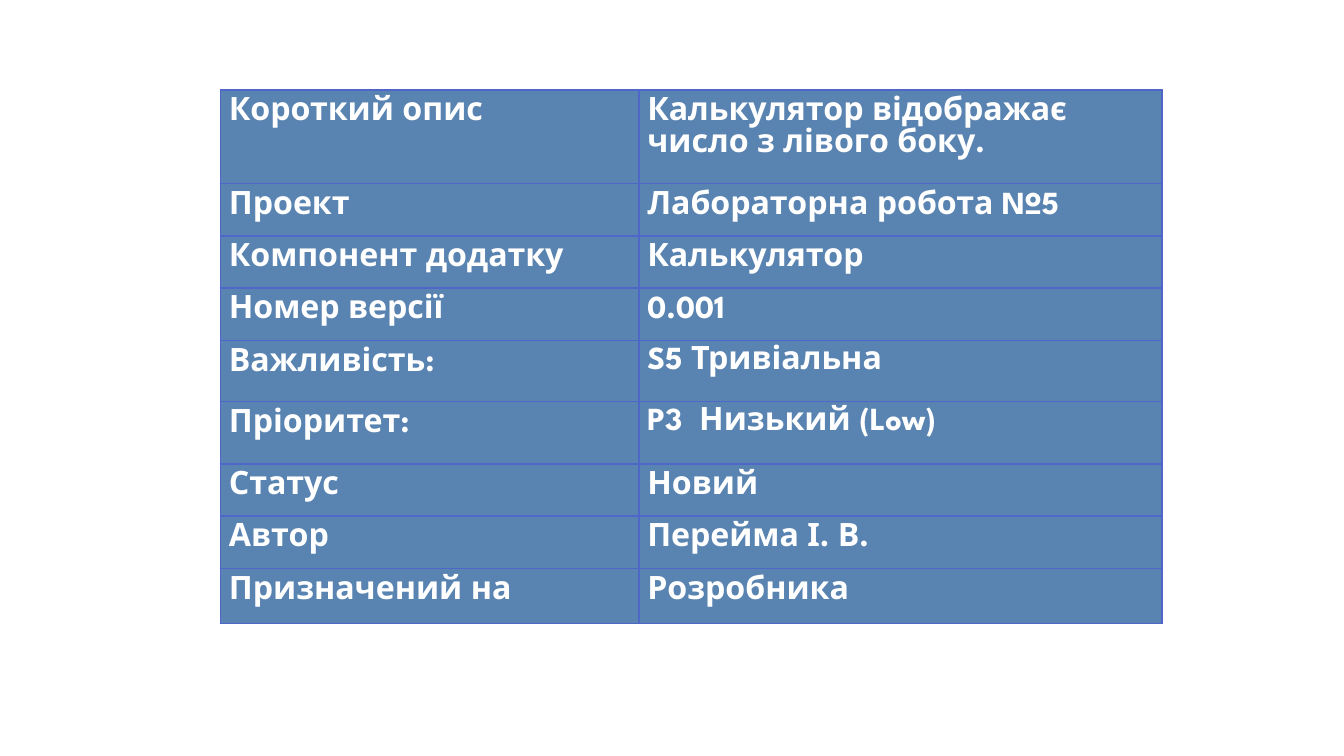
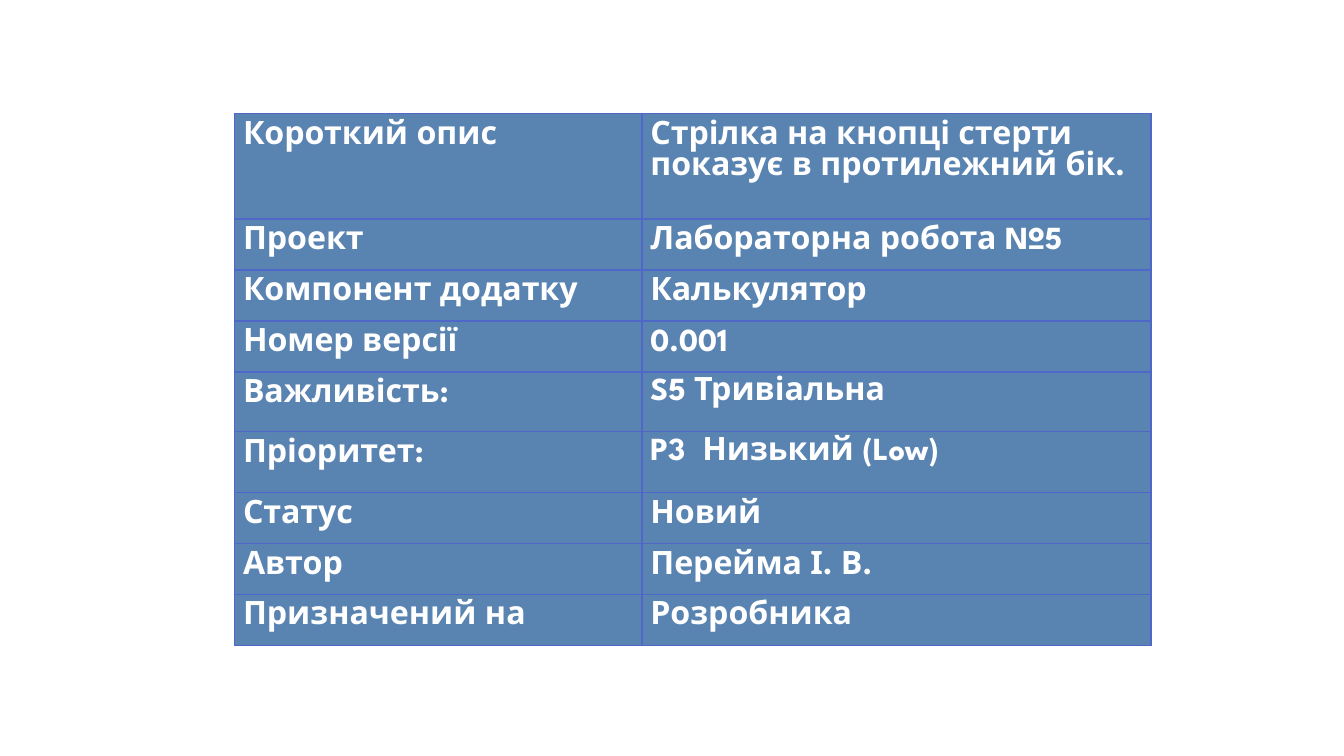
import pptx
import pptx.dml.color
import pptx.oxml
import pptx.oxml.ns
import pptx.util

SLIDE_WIDTH = pptx.util.Inches(11.02)
SLIDE_HEIGHT = pptx.util.Inches(6.2)
FONT = "League Spartan"
TEXT_SIZE = 19
LINE_SPACING = 1.07
TEXT_COLOR = "FFFFFF"
CELL_COLOR = "5983B0"
BORDER_COLOR = "4E67C8"
BORDER_WIDTH = 0.96
COLUMN_SHARES = (4 / 9, 5 / 9)
MIDDLE_ROWS = (1, 1, 1, 1.17, 1.19, 1, 1)
SINGLE_SPACED_LABELS = ("Важливість:", "Пріоритет:")

COMMON_FIELDS = (
    ("Проект", "Лабораторна робота №5"),
    ("Компонент додатку", "Калькулятор"),
    ("Номер версії", "0.001"),
    ("Важливість:", "S5 Тривіальна"),
    ("Пріоритет:", "P3  Низький (Low)"),
    ("Статус", "Новий"),
    ("Автор", "Перейма І. В."),
    ("Призначений на", "Розробника"),
)


def color(hex_string):
    return pptx.dml.color.RGBColor.from_string(hex_string)


def across(percent):
    return round(SLIDE_WIDTH * percent / 100)


def down(percent):
    return round(SLIDE_HEIGHT * percent / 100)


def add_borders(cell):
    properties = cell._tc.get_or_add_tcPr()
    for side in ("lnL", "lnR", "lnT", "lnB"):
        properties.append(pptx.oxml.parse_xml(
            f'<a:{side} {pptx.oxml.ns.nsdecls("a")} w="{pptx.util.Pt(BORDER_WIDTH)}">'
            f'<a:solidFill><a:srgbClr val="{BORDER_COLOR}"/></a:solidFill>'
            f'</a:{side}>'
        ))


def fill_cell(cell, text, line_spacing):
    add_borders(cell)
    cell.fill.solid()
    cell.fill.fore_color.rgb = color(CELL_COLOR)
    cell.margin_left = cell.margin_right = pptx.util.Inches(0.07)
    cell.margin_top = cell.margin_bottom = pptx.util.Inches(0.05)
    cell.text_frame.text = text
    paragraph = cell.text_frame.paragraphs[0]
    paragraph.line_spacing = line_spacing
    font = paragraph.runs[0].font
    font.name = FONT
    font.size = pptx.util.Pt(TEXT_SIZE)
    font.bold = True
    font.color.rgb = color(TEXT_COLOR)


def add_bug_report(presentation, summary, left, top, width, row_height, first_row, last_row):
    slide = presentation.slides.add_slide(presentation.slide_layouts[6])
    fields = (("Короткий опис", summary),) + COMMON_FIELDS
    row_heights = [down(row_height * rows) for rows in (first_row, *MIDDLE_ROWS, last_row)]
    table = slide.shapes.add_table(
        len(fields), len(COLUMN_SHARES),
        across(left), down(top), across(width), sum(row_heights),
    ).table
    for column, share in zip(table.columns, COLUMN_SHARES):
        column.width = across(width * share)
    for row, height, (label, value) in zip(table.rows, row_heights, fields):
        row.height = height
        value_spacing = None if label in SINGLE_SPACED_LABELS else LINE_SPACING
        fill_cell(row.cells[0], label, LINE_SPACING)
        fill_cell(row.cells[1], value, value_spacing)


def main():
    presentation = pptx.Presentation()
    presentation.slide_width = SLIDE_WIDTH
    presentation.slide_height = SLIDE_HEIGHT
    add_bug_report(
        presentation, "Калькулятор відображає число з лівого боку.",
        left=16.4, top=11.9, width=70.05, row_height=6.92, first_row=1.79, last_row=1.05,
    )
    add_bug_report(
        presentation, "Стрілка на кнопці стерти показує в протилежний бік.",
        left=17.45, top=15, width=68.2, row_height=6.75, first_row=2.07, last_row=1,
    )
    presentation.save("out.pptx")


if __name__ == "__main__":
    main()
